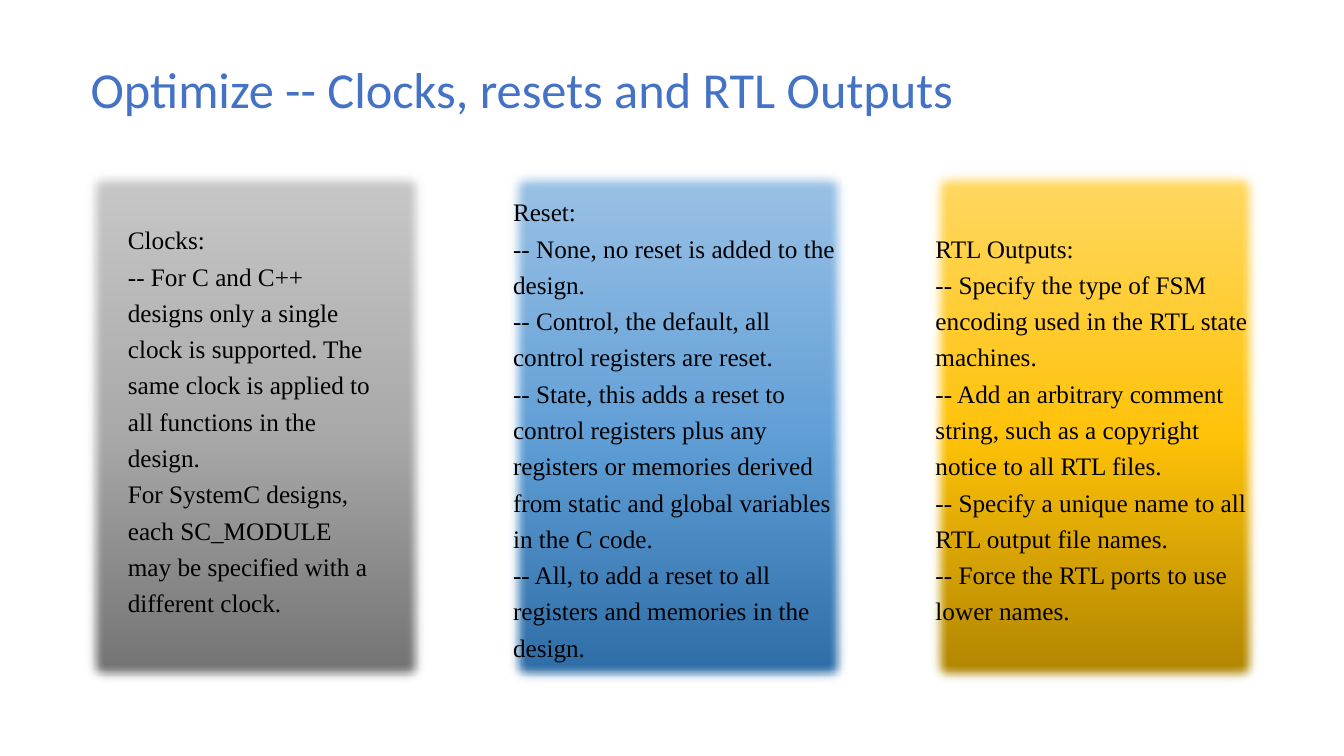
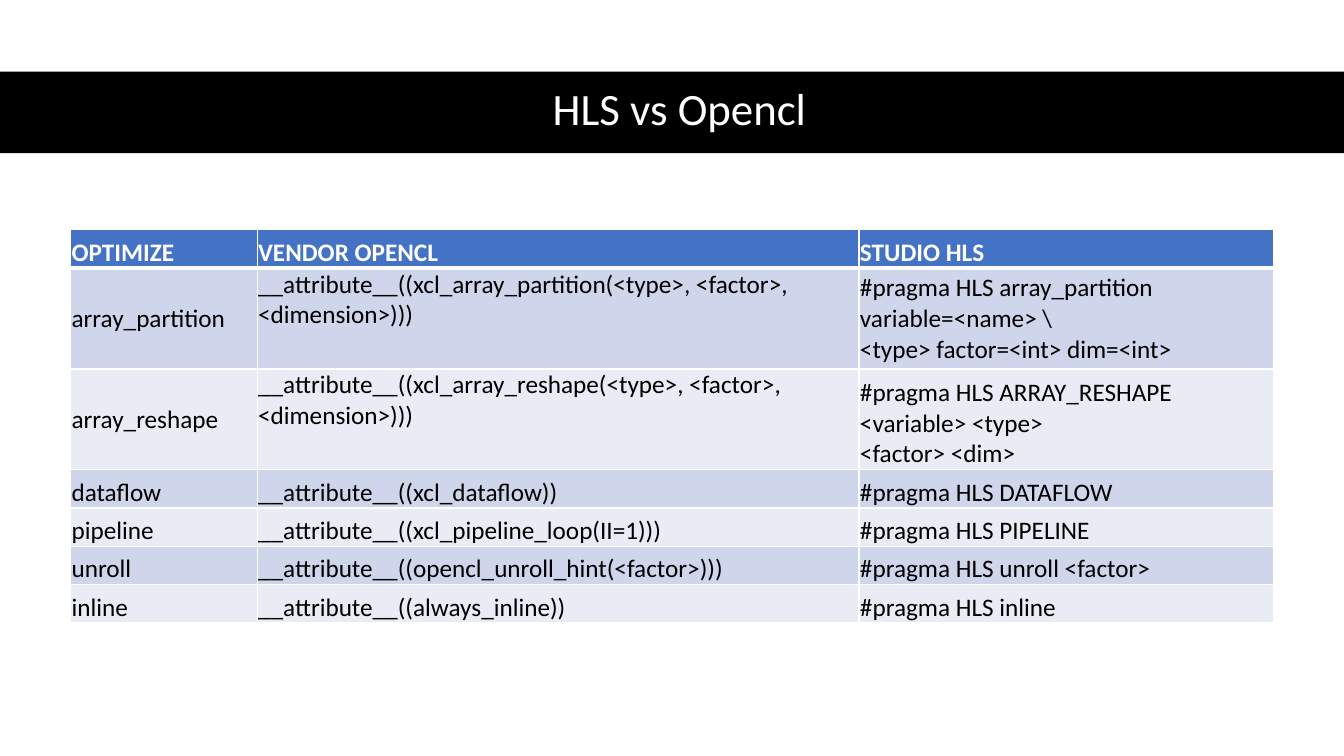
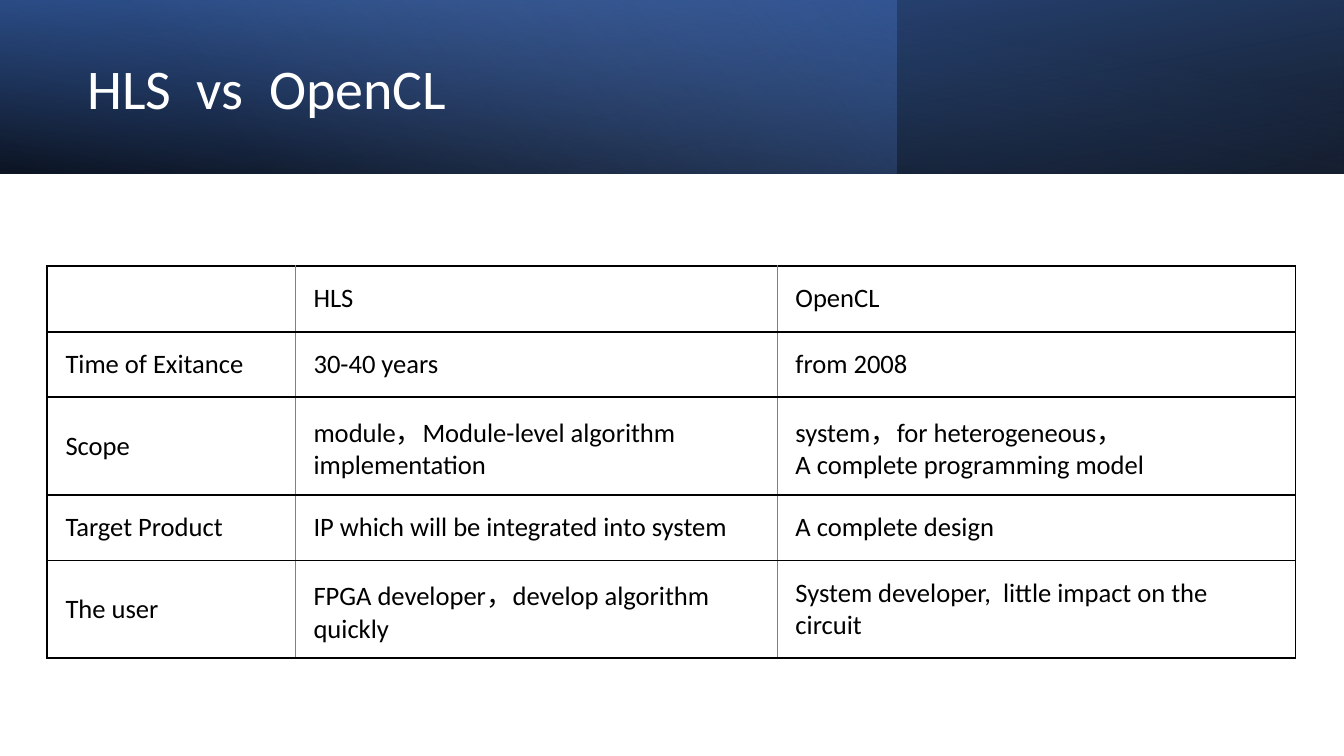
from dataclasses import dataclass

from lxml import etree
from pptx import Presentation
from pptx.dml.color import RGBColor
from pptx.enum import shapes, text
from pptx.oxml import ns
from pptx.util import Inches, Pt

TOP, MIDDLE, BOTTOM = text.MSO_ANCHOR.TOP, text.MSO_ANCHOR.MIDDLE, text.MSO_ANCHOR.BOTTOM


@dataclass(frozen=True)
class Theme:
    width: float = 13.33
    height: float = 7.5
    sans: str = "Calibri"
    serif: str = "Times New Roman"
    black: str = "000000"
    white: str = "FFFFFF"
    rule: str = "808080"
    accent: str = "4472C4"
    deep: str = "2F5597"
    pale: str = "8FAADC"
    bands: tuple = ("CFD5EA", "E9EBF5")
    gray: tuple = ((0, "6F6F6F"), (48, "A8A8A8"), (100, "C9C9C9"))
    blue: tuple = ((0, "2A69A2"), (48, "609ED6"), (100, "9DC3E6"))
    gold: tuple = ((0, "AB8100"), (48, "FFC208"), (100, "FFD966"))
    title: int = 36
    band_title: int = 32
    banner_title: int = 40
    body: int = 18
    cell: int = 19


THEME = Theme()


def sub(parent, tag, **attributes):
    """Append a DrawingML child to parent."""
    return etree.SubElement(parent, ns.qn(tag), {k: str(v) for k, v in attributes.items()})


def add_color(parent, color, alpha=100):
    node = sub(parent, "a:srgbClr", val=color)
    if alpha < 100:
        sub(node, "a:alpha", val=alpha * 1000)


class Deck:
    def __init__(self, theme):
        self.theme = theme
        self.presentation = Presentation()
        self.presentation.slide_width = Inches(theme.width)
        self.presentation.slide_height = Inches(theme.height)
        self.slide = None

    def new_slide(self):
        self.slide = self.presentation.slides.add_slide(self.presentation.slide_layouts[6])

    def style_runs(self, paragraph, size, color, font, bold=False):
        for run in paragraph.runs:
            run.font.size = Pt(size)
            run.font.name = font
            run.font.bold = bold
            run.font.color.rgb = RGBColor.from_string(color)

    def set_lines(self, frame, lines, size, color, font, spacing, align=text.PP_ALIGN.LEFT):
        frame.word_wrap = True
        frame.text = "\n".join(lines)
        for paragraph in frame.paragraphs:
            paragraph.alignment = align
            paragraph.line_spacing = spacing
            self.style_runs(paragraph, size, color, font)

    def body(self, frame, lines):
        self.set_lines(frame, lines, self.theme.body, self.theme.black, self.theme.serif, 1.2)

    def textbox(self, box):
        return self.slide.shapes.add_textbox(*map(Inches, box)).text_frame

    def title(self, words, box, size, color, align=text.PP_ALIGN.LEFT):
        frame = self.textbox(box)
        frame.vertical_anchor = MIDDLE
        self.set_lines(frame, [words], size, color, self.theme.sans, 0.9, align)

    def note(self, lines, box):
        frame = self.textbox(box)
        self.body(frame, lines)
        frame.auto_size = text.MSO_AUTO_SIZE.SHAPE_TO_FIT_TEXT

    def rect(self, box, color=None):
        shape = self.slide.shapes.add_shape(shapes.MSO_SHAPE.RECTANGLE, *map(Inches, box))
        shape.shadow.inherit = False
        shape.line.fill.background()
        if color:
            shape.fill.solid()
            shape.fill.fore_color.rgb = RGBColor.from_string(color)
        return shape

    def gradient_rect(self, box, stops, angle, flip=False, rotation=0):
        """Stops are (position, colour[, opacity]); the angle runs clockwise."""
        shape = self.rect(box)
        shape.rotation = rotation
        if flip:
            shape._element.spPr.find(ns.qn("a:xfrm")).set("flipH", "1")
        shape.fill.gradient()
        fill = shape._element.spPr.find(ns.qn("a:gradFill"))
        for child in list(fill):
            fill.remove(child)
        stop_list = sub(fill, "a:gsLst")
        for position, *color in stops:
            add_color(sub(stop_list, "a:gs", pos=position * 1000), *color)
        sub(fill, "a:lin", ang=angle * 60000, scaled=0)
        return shape

    def panel(self, box, stops, lines=()):
        """Soft-edged column with optional text."""
        shape = self.gradient_rect(box, stops, 270)
        effects = shape._element.spPr.find(ns.qn("a:effectLst"))
        sub(effects, "a:softEdge", rad=Inches(0.12))
        if lines:
            shape.text_frame.vertical_anchor = MIDDLE
            self.body(shape.text_frame, lines)

    def table(self, rows, box, widths, heights, style):
        """style(row, column) gives the look of each cell."""
        table = self.slide.shapes.add_table(
            len(rows), len(widths), *map(Inches, box)).table
        table.first_row = table.horz_banding = False
        for column, width in zip(table.columns, widths):
            column.width = Inches(width)
        for row, height in zip(table.rows, heights):
            row.height = Inches(height)
        for r, row in enumerate(rows):
            for c, words in enumerate(row):
                self.cell(table.cell(r, c), words, **style(r, c))

    def cell(self, cell, words, anchor, insets, borders, size, color, fill=None, bold=False):
        cell.vertical_anchor = anchor
        (cell.margin_left, cell.margin_top,
         cell.margin_right, cell.margin_bottom) = map(Inches, insets)
        paragraph = cell.text_frame.paragraphs[0]
        paragraph.text = words
        self.style_runs(paragraph, size, color, self.theme.sans, bold)
        if fill:
            cell.fill.solid()
            cell.fill.fore_color.rgb = RGBColor.from_string(fill)
        else:
            cell.fill.background()
        properties = cell._tc.get_or_add_tcPr()
        for index, side in enumerate("LRTB"):
            line_color, width = borders[side]
            line = sub(properties, f"a:ln{side}", w=Pt(width))
            add_color(sub(line, "a:solidFill"), line_color)
            properties.insert(index, line)


def clocks_slide(deck):
    theme = deck.theme
    deck.new_slide()
    deck.title("Optimize -- Clocks, resets and RTL Outputs",
               (0.8, 0.19, 9.22, 1.45), theme.title, theme.accent)
    resets = [
        "Reset:",
        "-- None, no reset is added to the design.",
        "-- Control, the default, all control registers are reset.",
        "-- State, this adds a reset to control registers plus any registers or memories "
        "derived from static and global variables in the C code.",
        "-- All, to add a reset to all registers and memories in the design.",
    ]
    outputs = [
        "RTL Outputs:",
        "-- Specify the type of FSM encoding used in the RTL state machines.",
        "-- Add an arbitrary comment string, such as a copyright notice to all RTL files.",
        "-- Specify a unique name to all RTL output file names.",
        "-- Force the RTL ports to use lower names.",
    ]
    columns = [(3.47, theme.gray, ()), (3.47, theme.blue, resets), (3.35, theme.gold, outputs)]
    left, gap = 0.8, 0.72
    for width, stops, lines in columns:
        deck.panel((left, 1.64, width, 5.18), stops, lines)
        left += width + gap
    deck.note([
        "Clocks:",
        "-- For C and C++ designs only a single clock is supported. "
        "The same clock is applied to all functions in the design.",
        "For SystemC designs, each SC_MODULE may be specified with a different clock.",
    ], (1.17, 2.12, 2.61, 4.4))


def directives_slide(deck):
    theme = deck.theme
    deck.new_slide()
    deck.rect((0, 0.71, theme.width, 0.81), theme.black)
    deck.title("HLS vs Opencl", (0.61, 0.7, 12.26, 0.81),
               theme.band_title, theme.white, text.PP_ALIGN.CENTER)
    rows = [
        ("OPTIMIZE", "VENDOR OPENCL", "STUDIO HLS"),
        ("array_partition",
         "__attribute__((xcl_array_partition(<type>, <factor>, <dimension>)))",
         "#pragma HLS array_partition variable=<name> \\\n<type> factor=<int> dim=<int>"),
        ("array_reshape",
         "__attribute__((xcl_array_reshape(<type>, <factor>, <dimension>)))",
         "#pragma HLS ARRAY_RESHAPE <variable> <type>\n<factor> <dim>"),
        ("dataflow", "__attribute__((xcl_dataflow))", "#pragma HLS DATAFLOW"),
        ("pipeline", "__attribute__((xcl_pipeline_loop(II=1)))", "#pragma HLS PIPELINE"),
        ("unroll", "__attribute__((opencl_unroll_hint(<factor>)))",
         "#pragma HLS unroll <factor>"),
        ("inline", "__attribute__((always_inline))", "#pragma HLS inline"),
    ]
    tall_anchors = {1: (MIDDLE, TOP, MIDDLE), 2: (MIDDLE, TOP, BOTTOM)}

    def style(r, c):
        header = r == 0
        borders = dict.fromkeys("LRTB", (theme.white, 1))
        if header:
            borders["B"] = (theme.white, 3)
        elif r == 1:
            borders["T"] = (theme.white, 3)
        return dict(
            anchor=tall_anchors.get(r, (BOTTOM,) * 3)[c], insets=(0.01, 0.01, 0.01, 0),
            borders=borders, size=theme.body, bold=header,
            color=theme.white if header else theme.black,
            fill=theme.accent if header else theme.bands[(r - 1) % 2])

    short, tall = 0.38, 1
    heights = [short, tall, tall] + [short] * 4
    deck.table(rows, (0.7, 2.28, 11.93, 3.91), (1.85, 5.97, 4.11), heights, style)


def comparison_slide(deck):
    theme = deck.theme
    deck.new_slide()
    banner = (0, 0, theme.width, 1.72)
    deck.gradient_rect(banner, ((0, theme.black, 96), (100, theme.deep)), 100,
                       flip=True, rotation=180)
    deck.gradient_rect((0, 0, 8.89, 1.72), ((0, theme.accent, 41), (74, theme.pale, 0)), 140)
    deck.gradient_rect(banner, ((0, theme.black, 63), (78, theme.accent, 15)), 260, flip=True)
    deck.title("HLS  vs  OpenCL", (0.77, 0.27, 7.72, 1.27), theme.banner_title, theme.white)
    rows = [
        ("", "HLS", "OpenCL"),
        ("Time of Exitance", "30-40 years", "from 2008"),
        ("Scope", "module，Module-level algorithm implementation",
         "system，for heterogeneous，\nA complete programming model"),
        ("Target Product", "IP which will be integrated into system", "A complete design"),
        ("The user", "FPGA developer，develop algorithm\nquickly",
         "System developer,  little impact on the \ncircuit"),
    ]
    thick, thin = (theme.black, 1.5), (theme.rule, 0.5)

    def style(r, c):
        return dict(
            anchor=MIDDLE, insets=(0.18, 0.14, 0.01, 0.14), size=theme.cell, color=theme.black,
            borders={"L": thin if c else thick, "R": thick if c == 2 else thin,
                     "T": thick, "B": thick})

    deck.table(rows, (0.47, 2.64, 12.39, 3.9), (2.46, 4.78, 5.14),
               (0.65, 0.65, 0.97, 0.65, 0.97), style)


def main():
    deck = Deck(THEME)
    clocks_slide(deck)
    directives_slide(deck)
    comparison_slide(deck)
    deck.presentation.save("out.pptx")


if __name__ == "__main__":
    main()
